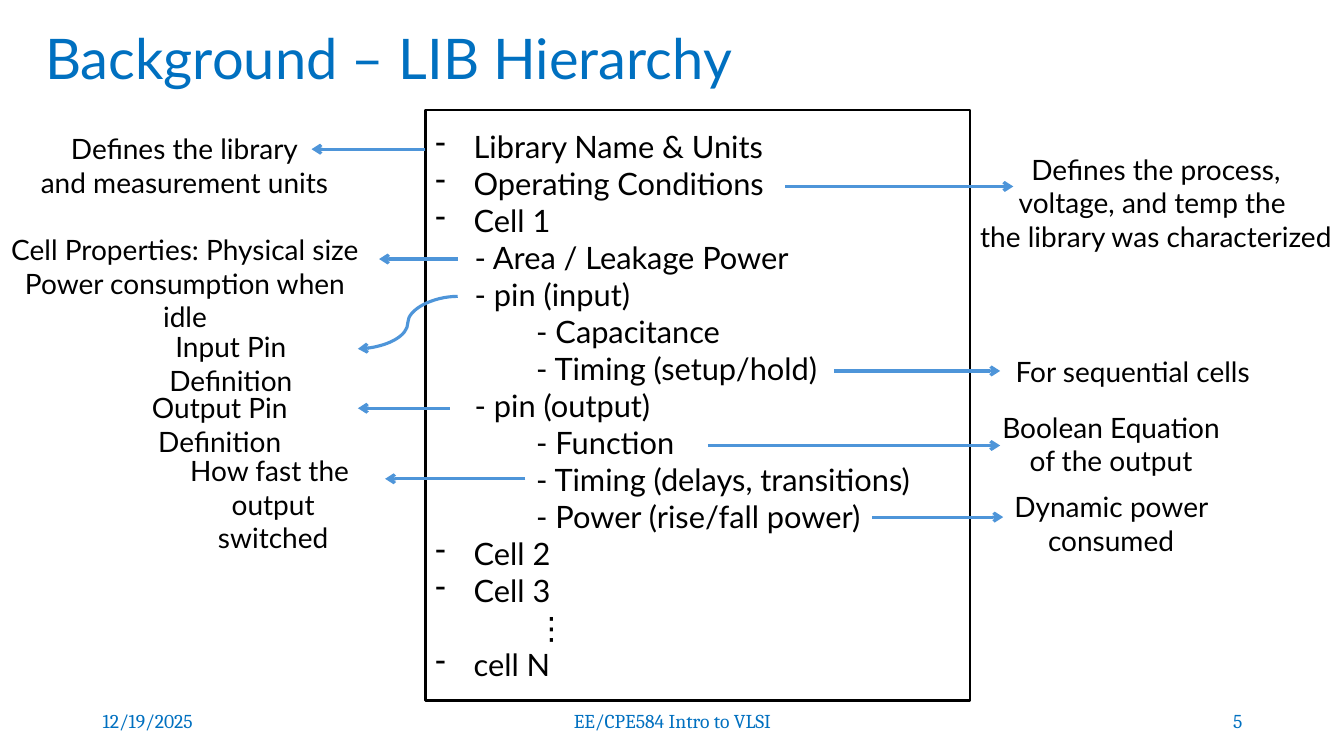
from dataclasses import dataclass

from lxml import etree
from pptx import Presentation
from pptx.dml.color import RGBColor
from pptx.enum import shapes, text
from pptx.oxml import ns
from pptx.util import Inches, Pt


@dataclass(frozen=True)
class Theme:
    accent: str = "0070C0"
    arrow: str = "4E95D9"
    ink: str = "000000"
    paper: str = "FFFFFF"
    font: str = "Lato"
    footer_font: str = "Cambria"
    title: int = 40
    body: int = 22
    note: int = 20
    footer: int = 14


LEFT, CENTER, RIGHT = text.PP_ALIGN.LEFT, text.PP_ALIGN.CENTER, text.PP_ALIGN.RIGHT
TOP, MIDDLE = text.MSO_ANCHOR.TOP, text.MSO_ANCHOR.MIDDLE

# Level 0 has a dash bullet; deeper levels carry their dash in the text.
HIERARCHY = [
    (0, "Library Name & Units"),
    (0, "Operating Conditions"),
    (0, "Cell 1"),
    (1, "- Area / Leakage Power"),
    (1, "- pin (input)"),
    (2, "- Capacitance"),
    (2, "- Timing (setup/hold)"),
    (1, "- pin (output)"),
    (2, "- Function"),
    (2, "- Timing (delays, transitions)"),
    (2, "- Power (rise/fall power)"),
    (0, "Cell 2"),
    (0, "Cell 3"),
    (2, "⋮"),
    (0, "cell N"),
]
INDENTS = [0.38, 0.39, 1.0]

# Text, its box, then the arrow's start and end.
NOTES = [
    ("Defines the library\nand measurement units", (0.29, 1.26, 3.08, 0.77), (4.22, 1.48), (3.09, 1.48)),
    ("Defines the process,\nvoltage, and temp the \nthe library was characterized",
     (9.61, 1.46, 3.71, 1.11), (7.79, 1.85), (10.05, 1.85)),
    ("Cell Properties: Physical size\nPower consumption when idle",
     (-0.08, 2.26, 3.83, 0.77), (4.54, 2.57), (3.76, 2.57)),
    ("Input Pin Definition", (1.01, 3.22, 2.56, 0.44), (4.54, 2.94), (3.55, 3.46)),
    ("Output Pin Definition", (0.81, 3.83, 2.74, 0.44), (4.46, 4.05), (3.55, 4.05)),
    ("For sequential cells", (9.95, 3.47, 2.57, 0.44), (8.27, 3.68), (9.92, 3.68)),
    ("Boolean Equation \nof the output", (9.82, 4.02, 2.4, 0.77), (7.02, 4.42), (9.92, 4.42)),
    ("How fast the \noutput switched", (1.63, 4.45, 2.16, 0.77), (5.21, 4.75), (3.82, 4.75)),
    ("Dynamic power \nconsumed", (9.95, 4.81, 2.14, 0.77), (8.65, 5.13), (9.95, 5.13)),
]

FOOTERS = [
    ("12/19/2025", 0.92, 3, LEFT),
    ("EE/CPE584 Intro to VLSI", 4.42, 4.5, CENTER),
    ("5", 9.42, 3, RIGHT),
]


class Deck:
    def __init__(self, theme):
        self.theme = theme
        self.prs = Presentation()
        self.prs.slide_width, self.prs.slide_height = Inches(13.33), Inches(7.5)
        self.s = self.prs.slides.add_slide(self.prs.slide_layouts[6])

    def style(self, p, size, color, font, align):
        p.alignment = align
        for r in p.runs:
            r.font.size, r.font.name = Pt(size), font
            r.font.color.rgb = RGBColor.from_string(color)

    def text(self, words, box, size, color, font, align=LEFT, anchor=TOP):
        sp = self.s.shapes.add_textbox(*map(Inches, box))
        tf = sp.text_frame
        tf.word_wrap, tf.vertical_anchor = True, anchor
        tf.text = words
        for p in tf.paragraphs:
            self.style(p, size, color, font, align)
        return tf

    def outline(self, items, box):
        """Framed list whose items are (level, words)."""
        t = self.theme
        sp = self.s.shapes.add_shape(shapes.MSO_SHAPE.RECTANGLE, *map(Inches, box))
        sp.shadow.inherit = False
        sp.fill.solid()
        sp.fill.fore_color.rgb = RGBColor.from_string(t.paper)
        sp.line.color.rgb = RGBColor.from_string(t.ink)
        sp.line.width = Pt(1.5)
        tf = sp.text_frame
        tf.word_wrap, tf.vertical_anchor = True, MIDDLE
        tf.text = "\n".join(words for _, words in items)
        for p, (level, _) in zip(tf.paragraphs, items):
            pPr = p._p.get_or_add_pPr()
            pPr.set("marL", str(Inches(INDENTS[level])))
            if level == 0:
                pPr.set("indent", str(-Inches(INDENTS[0])))
                etree.SubElement(pPr, ns.qn("a:buChar")).set("char", "-")
            self.style(p, t.body, t.ink, t.font, LEFT)

    def arrow(self, start, end):
        """Straight when level, curved when the ends differ in height."""
        kind = shapes.MSO_CONNECTOR.STRAIGHT if start[1] == end[1] else shapes.MSO_CONNECTOR.CURVE
        c = self.s.shapes.add_connector(kind, *map(Inches, start + end))
        c.line.color.rgb = RGBColor.from_string(self.theme.arrow)
        c.line.width = Pt(2.25)
        etree.SubElement(c.line._get_or_add_ln(), ns.qn("a:tailEnd")).set("type", "arrow")
        etree.SubElement(c._element.spPr, ns.qn("a:effectLst"))


def main():
    t = Theme()
    deck = Deck(t)
    for words, x, w, align in FOOTERS:
        deck.text(words, (x, 6.95, w, 0.4), t.footer, t.accent, t.footer_font, align, MIDDLE)
    title = deck.text("Background – LIB Hierarchy", (0.35, 0.26, 12.62, 0.74), t.title, t.accent, t.font)
    title.paragraphs[0].line_spacing = 0.9
    deck.outline(HIERARCHY, (4.22, 1.09, 5.4, 5.86))
    for words, box, start, end in NOTES:
        deck.arrow(start, end)
        deck.text(words, box, t.note, t.ink, t.font, CENTER)
    deck.prs.save("out.pptx")


if __name__ == "__main__":
    main()
